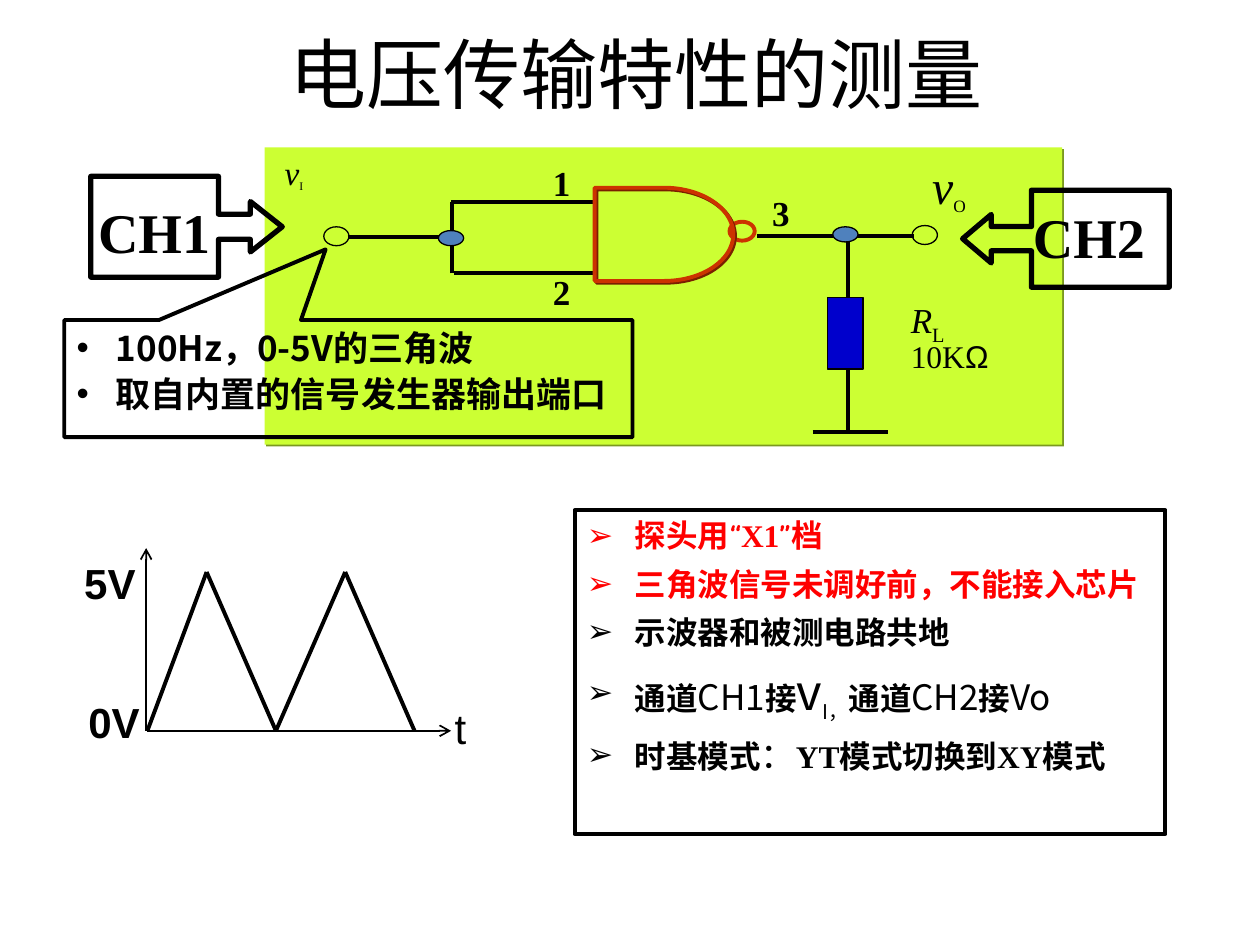
from dataclasses import dataclass
from itertools import pairwise

from pptx import Presentation
from pptx.dml.color import RGBColor
from pptx.enum.shapes import MSO_CONNECTOR, MSO_SHAPE
from pptx.enum.text import MSO_ANCHOR, MSO_AUTO_SIZE, PP_ALIGN
from pptx.oxml.ns import qn
from pptx.util import Inches, Pt
from lxml.etree import SubElement


@dataclass(frozen=True)
class Theme:
    black: str = "000000"
    red: str = "FF0000"
    board: str = "CCFF33"
    board_shadow: str = "7A991F"
    gate: str = "CC3300"
    gate_shadow: str = "7A1F00"
    node: str = "4F81BD"
    resistor: str = "0000CC"
    serif: str = "Times New Roman"
    sans: str = "Arial"
    cjk: str = "Noto Sans CJK SC"
    hand: str = "Comic Neue"
    title: float = 44
    channel: float = 32
    big: float = 28
    axis: float = 24
    label: float = 20
    body: float = 18
    thin: float = 0.75
    axis_line: float = 1
    wire: float = 2.25
    thick: float = 3


T = Theme()


@dataclass
class Run:
    text: str
    font: str = T.hand
    size: float = T.body
    bold: bool = False
    italic: bool = False
    sub: bool = False


@dataclass
class Para:
    runs: list
    color: str = T.black
    align: PP_ALIGN = PP_ALIGN.JUSTIFY
    bullet: str = ""
    indent: float = 0
    before: float = 0
    spacing: float = 1


class Board:
    """Draws on one slide; lengths are cells of a grid of 100 columns by 75 rows."""

    def __init__(self, prs, theme):
        self.t = theme
        self.col = prs.slide_width / 100
        self.row = prs.slide_height / 75
        self.s = prs.slides.add_slide(prs.slide_layouts[5])

    def box(self, x, y, w, h):
        return (round(x * self.col), round(y * self.row),
                round(w * self.col), round(h * self.row))

    def set_paras(self, tf, paras):
        for i, para in enumerate(paras):
            p = tf.paragraphs[0] if i == 0 else tf.add_paragraph()
            if para.bullet:
                pPr = p._p.get_or_add_pPr()
                indent = Inches(para.indent)
                pPr.set("marL", str(indent))
                pPr.set("indent", str(-indent))
                SubElement(SubElement(pPr, qn("a:buClr")), qn("a:srgbClr"), val=para.color)
                SubElement(pPr, qn("a:buFont"), typeface=self.t.sans)
                SubElement(pPr, qn("a:buChar"), char=para.bullet)
            p.alignment = para.align
            p.line_spacing = para.spacing
            p.space_before = Pt(para.before if i else 0)
            for run in para.runs:
                r = p.add_run()
                r.text = run.text
                r.font.name, r.font.size = run.font, Pt(run.size)
                r.font.bold, r.font.italic = run.bold, run.italic
                r.font.color.rgb = RGBColor.from_string(para.color)
                rPr = r._r.get_or_add_rPr()
                east = self.t.cjk if run.size == self.t.title else self.t.hand
                SubElement(rPr, qn("a:ea"), typeface=east)
                if run.sub:
                    rPr.set("baseline", "-25000")

    def title(self, text, x, y, w, h):
        sp = self.s.shapes.title
        sp.left, sp.top, sp.width, sp.height = self.box(x, y, w, h)
        tf = sp.text_frame
        tf.vertical_anchor = MSO_ANCHOR.MIDDLE
        self.set_paras(tf, [Para([Run(text, self.t.cjk, self.t.title)], align=PP_ALIGN.CENTER)])

    def text(self, x, y, w, h, *paras, wrap=True, grow=False):
        tf = self.s.shapes.add_textbox(*self.box(x, y, w, h)).text_frame
        tf.word_wrap = wrap
        if grow:
            tf.auto_size = MSO_AUTO_SIZE.SHAPE_TO_FIT_TEXT
        self.set_paras(tf, paras)

    def shape(self, kind, x, y, w, h, fill=None, line=None, weight=T.thin,
              adj=(), shadow=None, paras=()):
        sp = self.s.shapes.add_shape(kind, *self.box(x, y, w, h))
        for i, value in enumerate(adj):
            sp.adjustments[i] = value
        if fill:
            sp.fill.solid()
            sp.fill.fore_color.rgb = RGBColor.from_string(fill)
        else:
            sp.fill.background()
        if line:
            sp.line.color.rgb = RGBColor.from_string(line)
            sp.line.width = Pt(weight)
        else:
            sp.line.fill.background()
        sp.shadow.inherit = False
        if shadow:
            outer = SubElement(sp._element.spPr.find(qn("a:effectLst")), qn("a:outerShdw"),
                               dist=str(Pt(1.4)), dir="2700000", algn="ctr", rotWithShape="0")
            SubElement(outer, qn("a:srgbClr"), val=shadow)
        if paras:
            sp.text_frame.word_wrap = True
            sp.text_frame.vertical_anchor = MSO_ANCHOR.TOP
            self.set_paras(sp.text_frame, paras)

    def line(self, start, end, weight=T.wire, arrow=False):
        x1, y1, x2, y2 = self.box(*start, *end)
        c = self.s.shapes.add_connector(MSO_CONNECTOR.STRAIGHT, x1, y1, x2, y2)
        c.line.color.rgb = RGBColor.from_string(self.t.black)
        c.line.width = Pt(weight)
        spPr = c._element.spPr
        if arrow:
            SubElement(spPr.find(qn("a:ln")), qn("a:tailEnd"), type="arrow")
        SubElement(spPr, qn("a:effectLst"))


def draw_circuit(b):
    oval = MSO_SHAPE.OVAL
    b.shape(MSO_SHAPE.RECTANGLE, 21, 11.7, 63.3, 23.6, fill=T.board, shadow=T.board_shadow)
    b.title("电压传输特性的测量", 4.6, 3.1, 91.8, 5.4)
    for box, name, sub, size, sub_size, spacing in (
            ((21.6, 12.2, 6.8, 4.5), "v", "I", 19, 11.4, 0.8),
            ((73, 12.4, 7.5, 5.9), "v", "O", 27.2, 17, 0.9)):
        b.text(*box, Para([Run(name, T.serif, size, italic=True),
                           Run(sub, T.serif, sub_size, sub=True)], spacing=spacing))
    b.text(71.3, 23.3, 9.2, 7.4,
           Para([Run("R", T.serif, T.label, italic=True),
                 Run("L", T.serif, T.label, sub=True)], spacing=0.88),
           Para([Run("10K", T.serif), Run("Ω", T.sans)], spacing=0.88))
    notes = ([Run("100Hz，0-5V的三角波", T.cjk, T.label, bold=True)],
             [Run("取自内置的信号发生器输出端口", T.cjk, T.label, bold=True)])
    b.shape(MSO_SHAPE.RECTANGULAR_CALLOUT, 5.1, 25.4, 45.1, 9.3, line=T.black, weight=T.wire,
            adj=(-0.04, -1.103),
            paras=[Para(runs, align=PP_ALIGN.LEFT, bullet="•", indent=0.31, before=2.5)
                   for runs in notes])
    b.shape(oval, 57.9, 17.6, 2, 1.5, line=T.gate, weight=T.wire)
    for start, end in (((60.1, 18.7), (72.5, 18.7)), ((35.8, 16), (47.4, 16)),
                       ((36, 21.7), (47.2, 21.7)), ((35.9, 21.7), (35.9, 16)),
                       ((27.6, 18.8), (36, 18.8)), ((67.3, 18.8), (67.3, 34.2)),
                       ((64.5, 34.3), (70.5, 34.3))):
        b.line(start, end)
    b.shape(MSO_SHAPE.RECTANGLE, 65.7, 23.6, 2.8, 5.7, fill=T.resistor, line=T.black)
    for x, y, h, fill in ((34.8, 18.3, 1.2, T.node), (66.1, 18, 1.2, T.node),
                          (72.4, 17.9, 1.5, None), (25.7, 18, 1.5, None)):
        b.shape(oval, x, y, 2, h, fill=fill, line=T.black)
    b.shape(MSO_SHAPE.FLOWCHART_DELAY, 47.2, 14.9, 11, 7.4, line=T.gate, weight=T.wire,
            shadow=T.gate_shadow)
    for pin, x, y in (("1", 42.9, 12.3), ("2", 42.9, 21), ("3", 60.3, 14.7)):
        b.text(x, y, 3.4, 4.4, Para([Run(pin, T.serif, T.label, bold=True)]),
               wrap=False, grow=True)


def draw_channels(b):
    for name, x, y, kind, frame, head in (
            ("CH1", 6.8, 15.2, MSO_SHAPE.RIGHT_ARROW_CALLOUT, (7.2, 14, 15.2, 8), 0.316),
            ("CH2", 81, 15.6, MSO_SHAPE.LEFT_ARROW_CALLOUT, (76.4, 15.1, 16.4, 7.7), 0.295)):
        b.shape(kind, *frame, line=T.black, weight=T.thick, adj=(0.25, 0.25, head, 0.667))
        b.text(x, y, 13.6, 6.4, Para([Run(name, T.serif, T.channel, bold=True)],
                                     align=PP_ALIGN.LEFT), grow=True)


def draw_waveform(b):
    low, high, half = 58, 45.4, 5.5
    points = [(11.7, low)] + [(16.4 + i * half, low if i % 2 else high) for i in range(4)]
    for start, end in pairwise(points):
        b.line(start, end)
    b.line((11.6, low), (11.6, 43.5), T.axis_line, arrow=True)
    b.line((11.7, low), (35.8, low), T.axis_line, arrow=True)
    b.text(6, 54.8, 6.1, 5, Para([Run("0V", T.sans, T.axis, bold=True)],
                                 align=PP_ALIGN.CENTER), wrap=False, grow=True)
    for label, x, y, w, bold in (("5V", 5.7, 44.3, 6.1, True), ("t", 35.1, 55.8, 3.9, False)):
        b.text(x, y, w, 4.5, Para([Run(label, T.sans, T.axis, bold=bold)], spacing=0.88),
               grow=True)


def draw_instructions(b):
    def strong(text, font=T.hand):
        return Run(text, font, bold=True)

    def plain(text, size=T.label, sub=False):
        return Run(text, T.cjk, size, sub=sub)

    items = (
        (T.red, [strong("探头用"), strong("“X1”", T.serif), strong("档")]),
        (T.red, [strong("三角波信号未调好前，不能接入芯片")]),
        (T.black, [strong("示波器和被测电路共地")]),
        (T.black, [strong("通道"), plain("CH1"), strong("接"), plain("v", T.big),
                   plain("I，", sub=True), strong("通道"), plain("CH2"), strong("接"),
                   plain("Vo")]),
        (T.black, [strong("时基模式"), plain("："), strong("YT", T.serif),
                   strong("模式切换到"), strong("XY", T.serif), strong("模式")]))
    b.shape(MSO_SHAPE.RECTANGLE, 45.6, 40.5, 46.9, 25.7, line=T.black, weight=T.wire,
            paras=[Para(runs, color, bullet="➢", indent=0.38, before=6)
                   for color, runs in items])


def main():
    prs = Presentation()
    prs.slide_width, prs.slide_height = Inches(10), Inches(7.5)
    b = Board(prs, T)
    for draw in (draw_circuit, draw_channels, draw_waveform, draw_instructions):
        draw(b)
    prs.save("out.pptx")


if __name__ == "__main__":
    main()
